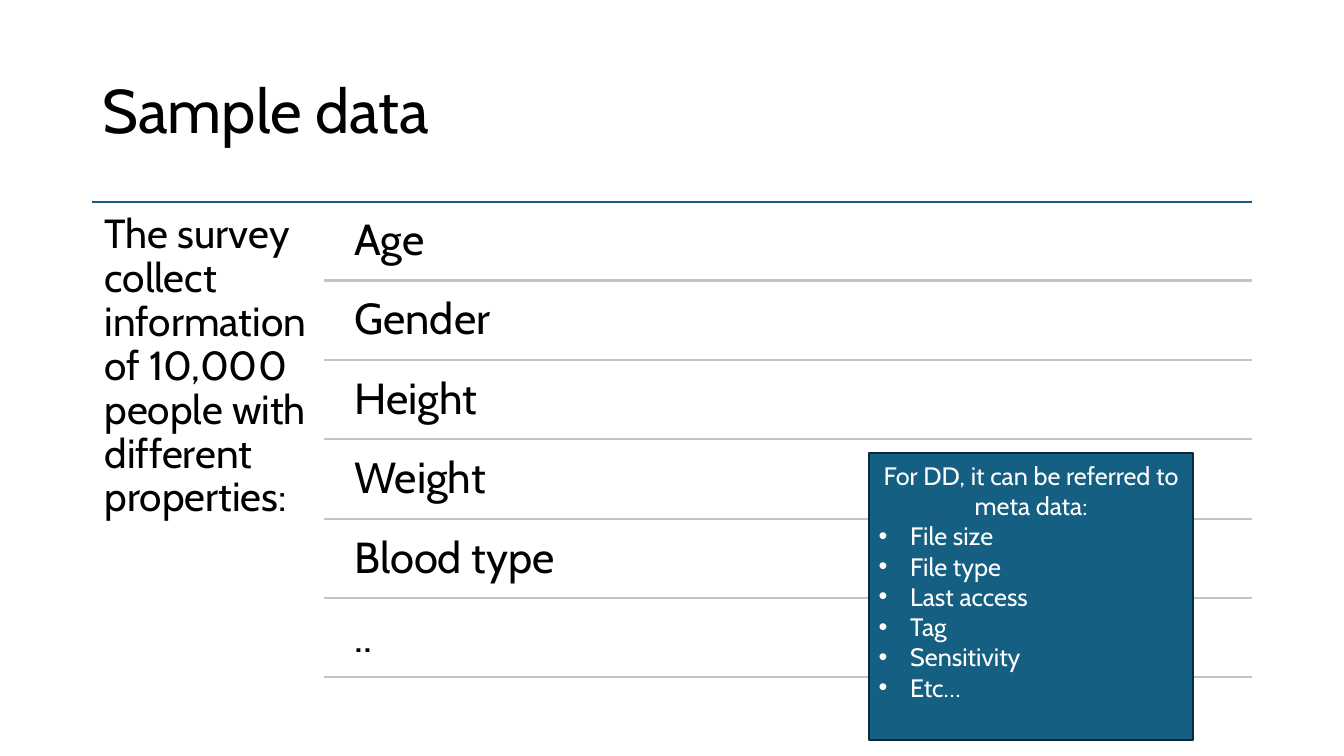
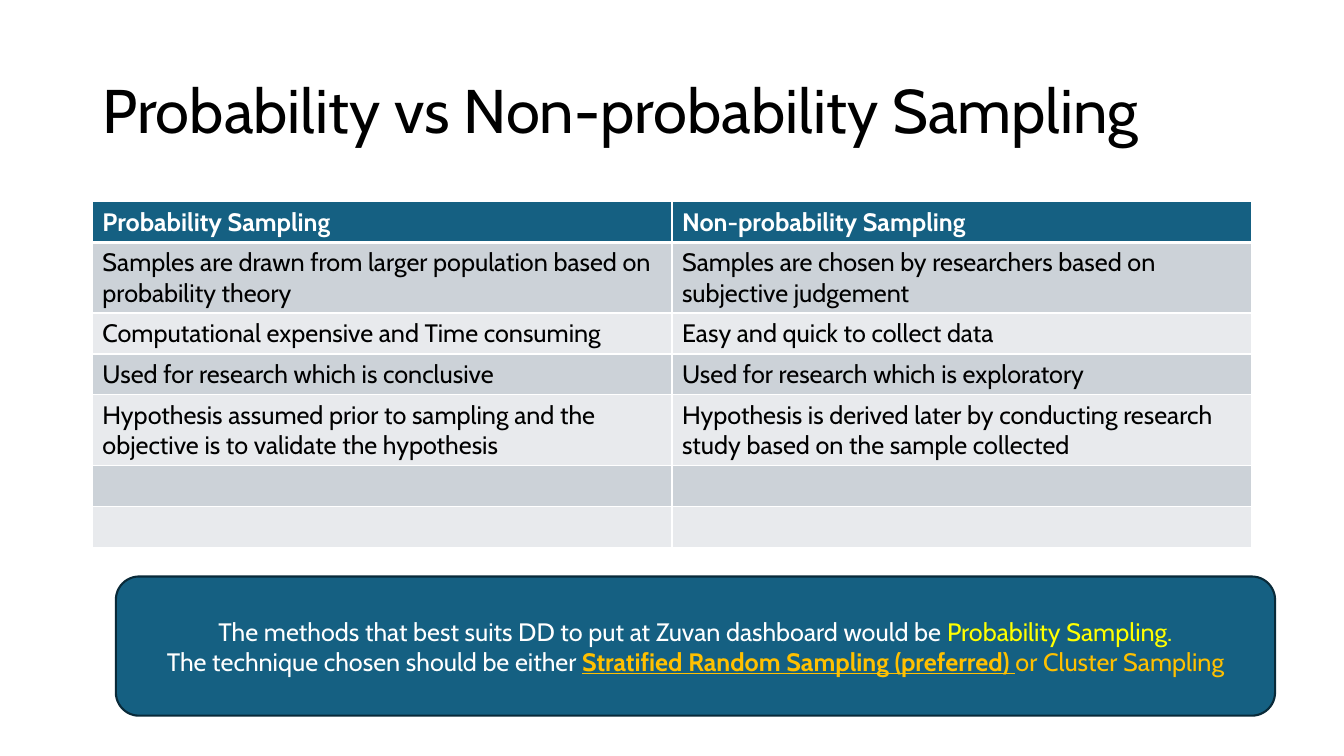
from dataclasses import dataclass

from lxml.etree import SubElement
from pptx import Presentation
from pptx.dml.color import RGBColor
from pptx.enum.shapes import MSO_CONNECTOR, MSO_SHAPE
from pptx.enum.text import MSO_ANCHOR, PP_ALIGN
from pptx.oxml.ns import qn
from pptx.util import Pt

FONT = "Cabin"
BLUE, NAVY, RULE = "156082", "092A39", "BDC5CD"
BLACK, WHITE, YELLOW, GOLD = "000000", "FFFFFF", "FFFF00", "FFC000"
BANDS = ("CCD2D8", "E8EAED")
LEFT, TOP, WIDTH = 66, 144, 828
RIGHT = LEFT + WIDTH


@dataclass(frozen=True)
class Box:
    x: float
    y: float
    w: float
    h: float

    def points(self) -> tuple[Pt, Pt, Pt, Pt]:
        return Pt(self.x), Pt(self.y), Pt(self.w), Pt(self.h)


@dataclass(frozen=True)
class Run:
    text: str
    size: float = 18
    hue: str = BLACK
    bold: bool = False
    under: bool = False


@dataclass(frozen=True)
class Para:
    runs: tuple[Run, ...]
    align: PP_ALIGN = PP_ALIGN.LEFT
    bullet: bool = False
    space: float = 1


def paint(target, hue: str) -> None:
    target.rgb = RGBColor.from_string(hue)


def fill(target, hue: str) -> None:
    target.fill.solid()
    paint(target.fill.fore_color, hue)


def write(frame, paras: list[Para]) -> None:
    for i, para in enumerate(paras):
        item = frame.add_paragraph() if i else frame.paragraphs[0]
        item.alignment = para.align
        item.line_spacing = para.space
        if para.bullet:
            props = item._p.get_or_add_pPr()
            props.set("marL", str(Pt(22.5)))
            props.set("indent", str(-Pt(22.5)))
            SubElement(props, qn("a:buFont"), typeface="Arial")
            SubElement(props, qn("a:buChar"), char="•")
        for part in para.runs:
            run = item.add_run()
            run.text = part.text
            run.font.name = FONT
            run.font.size = Pt(part.size)
            run.font.bold = part.bold
            run.font.underline = part.under
            paint(run.font.color, part.hue)


def add_text(slide, box: Box, text: str, size: float, inset: float,
             anchor: MSO_ANCHOR = MSO_ANCHOR.TOP) -> None:
    frame = slide.shapes.add_textbox(*box.points()).text_frame
    frame.word_wrap = True
    frame.vertical_anchor = anchor
    frame.margin_left = frame.margin_right = Pt(max(inset, 7.2))
    frame.margin_top = frame.margin_bottom = Pt(inset)
    write(frame, [Para((Run(text, size),), space=0.9)])


def add_rule(slide, x: float, y: float, hue: str) -> None:
    rule = slide.shapes.add_connector(
        MSO_CONNECTOR.STRAIGHT, Pt(x), Pt(y), Pt(RIGHT), Pt(y))
    rule.line.width = Pt(1.5)
    paint(rule.line.color, hue)
    SubElement(rule._element.spPr, qn("a:effectLst"))


def add_note(slide, kind: MSO_SHAPE, box: Box, paras: list[Para],
             foot: float = 3.6) -> None:
    note = slide.shapes.add_shape(kind, *box.points())
    note.shadow.inherit = False
    fill(note, BLUE)
    note.line.width = Pt(1.5)
    paint(note.line.color, NAVY)
    frame = note.text_frame
    frame.word_wrap = True
    frame.vertical_anchor = MSO_ANCHOR.MIDDLE
    frame.margin_bottom = Pt(foot)
    write(frame, paras)


def add_edge(cell, side: str, width: float) -> None:
    edge = SubElement(cell._tc.get_or_add_tcPr(), qn(f"a:ln{side}"), w=str(Pt(width)))
    SubElement(SubElement(edge, qn("a:solidFill")), qn("a:srgbClr"), val=WHITE)


def add_grid(slide, box: Box, rows: list[tuple[str, str]]) -> None:
    grid = slide.shapes.add_table(len(rows), len(rows[0]), *box.points()).table
    for r, texts in enumerate(rows):
        for c, text in enumerate(texts):
            cell = grid.cell(r, c)
            for side in "LRTB":
                thick = (r, side) in ((0, "B"), (1, "T"))
                add_edge(cell, side, 3 if thick else 1)
            fill(cell, BANDS[(r - 1) % 2] if r else BLUE)
            if text:
                hue = BLACK if r else WHITE
                write(cell.text_frame, [Para((Run(text, hue=hue, bold=not r),))])


def new_slide(deck, title: str):
    slide = deck.slides.add_slide(deck.slide_layouts[6])
    add_text(slide, Box(LEFT, 28.8, WIDTH, 104.4), title, 44, 3.6, MSO_ANCHOR.MIDDLE)
    return slide


def sample(deck) -> None:
    slide = new_slide(deck, "Sample data")
    add_rule(slide, LEFT, TOP, BLUE)
    add_text(slide, Box(LEFT, TOP, 165.6, 342.7),
             "The survey collect information of 10,000 people with different properties:",
             29, 8.7)
    fields = ("Age", "Gender", "Height", "Weight", "Blood type", "..")
    for i, field in enumerate(fields):
        y = 146.4 + i * 56.7
        add_text(slide, Box(244, y, RIGHT - 244, 54), field, 31, 9.3)
        add_rule(slide, 231.6, y + 54, RULE)
    facts = ("File size", "File type", "Last access", "Tag", "Sensitivity", "Etc…")
    head = Para((Run("For DD, it can be referred to meta data:", hue=WHITE),),
                PP_ALIGN.CENTER)
    add_note(slide, MSO_SHAPE.RECTANGLE, Box(620.6, 323.3, 231.8, 205.2),
             [head] + [Para((Run(fact, hue=WHITE),), bullet=True) for fact in facts],
             foot=25.2)


def compare(deck) -> None:
    slide = new_slide(deck, "Probability vs Non-probability Sampling")
    add_grid(slide, Box(LEFT, TOP, WIDTH, 204.4), [
        ("Probability Sampling", "Non-probability Sampling"),
        ("Samples are drawn from larger population based on probability theory",
         "Samples are chosen by researchers based on subjective judgement"),
        ("Computational expensive and Time consuming",
         "Easy and quick to collect data"),
        ("Used for research which is conclusive",
         "Used for research which is exploratory"),
        ("Hypothesis assumed prior to sampling and the objective is to validate "
         "the hypothesis",
         "Hypothesis is derived later by conducting research study based on the "
         "sample collected"),
        ("", ""),
        ("", ""),
    ])
    add_note(slide, MSO_SHAPE.ROUNDED_RECTANGLE, Box(82.8, 411.8, WIDTH, 99.4), [
        Para((Run("The methods that best suits DD to put at Zuvan dashboard would be ",
                  hue=WHITE),
              Run("Probability Sampling.", hue=YELLOW)), PP_ALIGN.CENTER),
        Para((Run("The technique chosen should be either ", hue=WHITE),
              Run("Stratified Random Sampling (preferred) ", hue=GOLD, bold=True,
                  under=True),
              Run("or Cluster Sampling", hue=GOLD)), PP_ALIGN.CENTER),
    ])


def main() -> None:
    deck = Presentation()
    deck.slide_width, deck.slide_height = Pt(960), Pt(540)
    sample(deck)
    compare(deck)
    deck.save("out.pptx")


if __name__ == "__main__":
    main()
